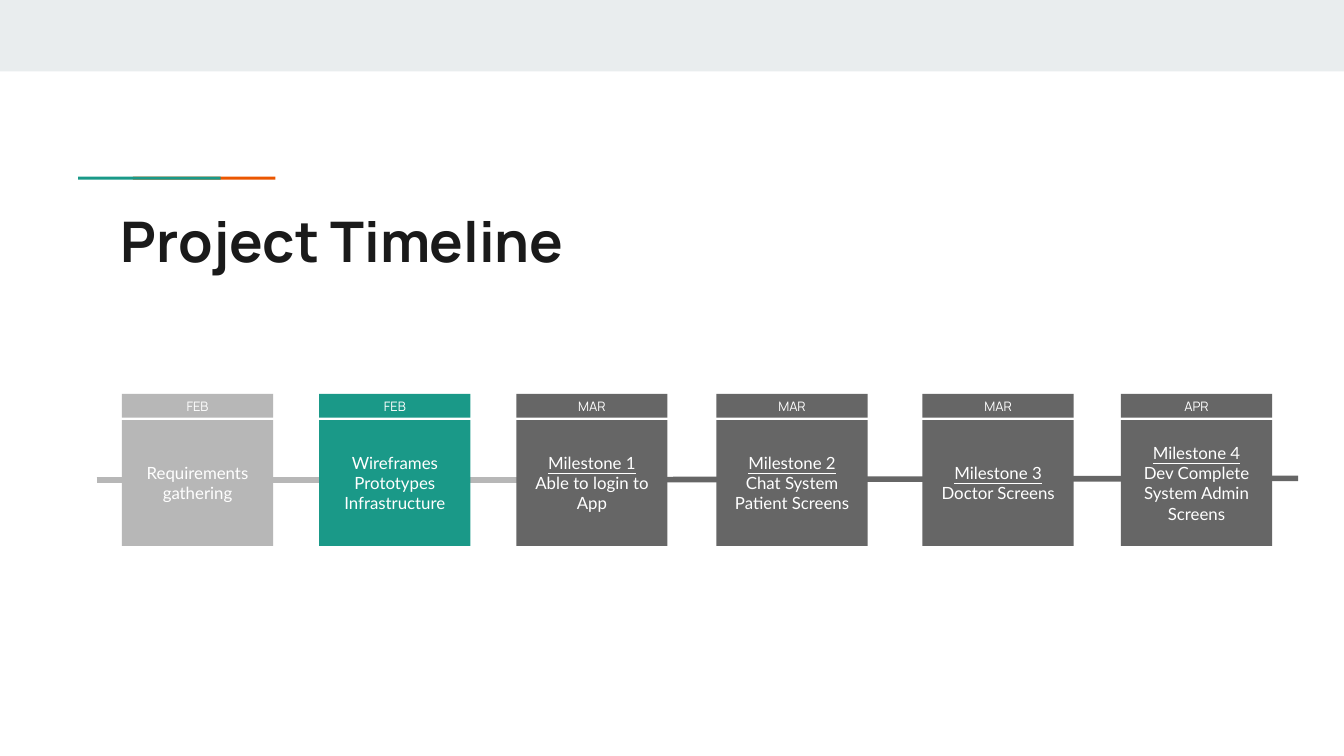
from lxml.etree import SubElement
from pptx import Presentation
from pptx.dml.color import RGBColor
from pptx.enum.shapes import MSO_CONNECTOR, MSO_SHAPE
from pptx.enum.text import MSO_ANCHOR, PP_ALIGN
from pptx.oxml.ns import qn
from pptx.util import Pt

TEAL, ORANGE, DARK, LIGHT = "1A9988", "EB5600", "666666", "B7B7B7"
WHITE, INK, BAND = "FFFFFF", "1A1A1A", "E9EDEE"
INSET = Pt(7.2)

STEPS = [
    (65.3, "FEB", LIGHT, "", ["Requirements gathering"]),
    (171, "FEB", TEAL, "", ["Wireframes", "Prototypes", "Infrastructure"]),
    (276.6, "MAR", DARK, "Milestone 1", ["Able to login to App"]),
    (383.8, "MAR", DARK, "Milestone 2", ["Chat System", "Patient Screens"]),
    (494.2, "MAR", DARK, "Milestone 3", ["Doctor Screens"]),
    (600.5, "APR", DARK, "Milestone 4", ["Dev Complete", "System Admin Screens"]),
]


def rgb(value):
    """Turn a hex string into a colour."""
    return RGBColor.from_string(value)


class TimelineSlide:
    """Holds the style and draws each kind of element on the slide."""

    heading_font = "Manrope"
    body_font = "Lato"

    def __init__(self, slide):
        """Keep the slide to draw on."""
        self.slide = slide

    def style(self, font, name, size, color, bold=False):
        """Apply a typeface, size and colour to a font."""
        font.name, font.size, font.bold = name, Pt(size), bold
        font.color.rgb = rgb(color)

    def inset(self, frame, anchor):
        """Give a text frame its margins, wrapping and anchor."""
        frame.margin_left = frame.margin_right = INSET
        frame.margin_top = frame.margin_bottom = INSET
        frame.word_wrap = True
        frame.vertical_anchor = anchor

    def title(self, text, left, top, width, height):
        """Fill and place the title placeholder."""
        title = self.slide.shapes.title
        title.left, title.top, title.width, title.height = map(Pt, (left, top, width, height))
        title.text_frame.text = text
        self.inset(title.text_frame, MSO_ANCHOR.TOP)
        heading = title.text_frame.paragraphs[0]
        heading.alignment = PP_ALIGN.LEFT
        self.style(heading.font, self.heading_font, 30, INK, True)

    def bar(self, left, top, width, height, color):
        """Draw a plain filled rectangle."""
        bar = self.slide.shapes.add_shape(
            MSO_SHAPE.RECTANGLE, *map(Pt, (left, top, width, height)))
        bar.shadow.inherit = False
        bar.fill.solid()
        bar.fill.fore_color.rgb = rgb(color)
        bar.line.fill.background()
        return bar

    def label(self, bar, lines, name, size, underlined=""):
        """Write centred lines in a bar, the first one underlined if given."""
        self.inset(bar.text_frame, MSO_ANCHOR.MIDDLE)
        paragraph = bar.text_frame.paragraphs[0]
        paragraph.alignment = PP_ALIGN.CENTER
        self.style(paragraph.font, name, size, WHITE)
        if underlined:
            milestone = paragraph.add_run()
            milestone.text = underlined
            milestone.font.underline = True
            paragraph.add_line_break()
        for index, line in enumerate(lines):
            if index:
                paragraph.add_line_break()
            paragraph.add_run().text = line

    def line(self, start, end, color):
        """Draw a stretch of the time axis."""
        axis = self.slide.shapes.add_connector(
            MSO_CONNECTOR.STRAIGHT, *map(Pt, (*start, *end)))
        axis.line.color.rgb = rgb(color)
        axis.line.width = Pt(3)
        SubElement(axis._element.spPr, qn("a:effectLst"))

    def step(self, left, month, color, milestone, tasks):
        """Draw a month tab above its task box."""
        box = self.bar(left, 225, 81, 67.5, color)
        self.label(box, tasks, self.body_font, 9, milestone)
        tab = self.bar(left, 211, 81, 12.8, color)
        self.label(tab, [month], self.heading_font, 7)


def main():
    """Build and save the project timeline."""
    deck = Presentation()
    deck.slide_width, deck.slide_height = Pt(720), Pt(405)
    timeline = TimelineSlide(deck.slides.add_slide(deck.slide_layouts[5]))
    timeline.bar(0, 0, 720, 38.3, BAND)
    for left, color in ((71.2, ORANGE), (41.8, TEAL)):
        timeline.bar(left, 94.7, 76.4, 1.6, color)
    timeline.line((320.4, 257), (695.5, 256.3), DARK)
    timeline.line((51.8, 257), (305.3, 257), LIGHT)
    timeline.title("Project Timeline", 57.6, 103.7, 605.5, 42.5)
    for step in STEPS:
        timeline.step(*step)
    deck.save("out.pptx")


if __name__ == "__main__":
    main()
